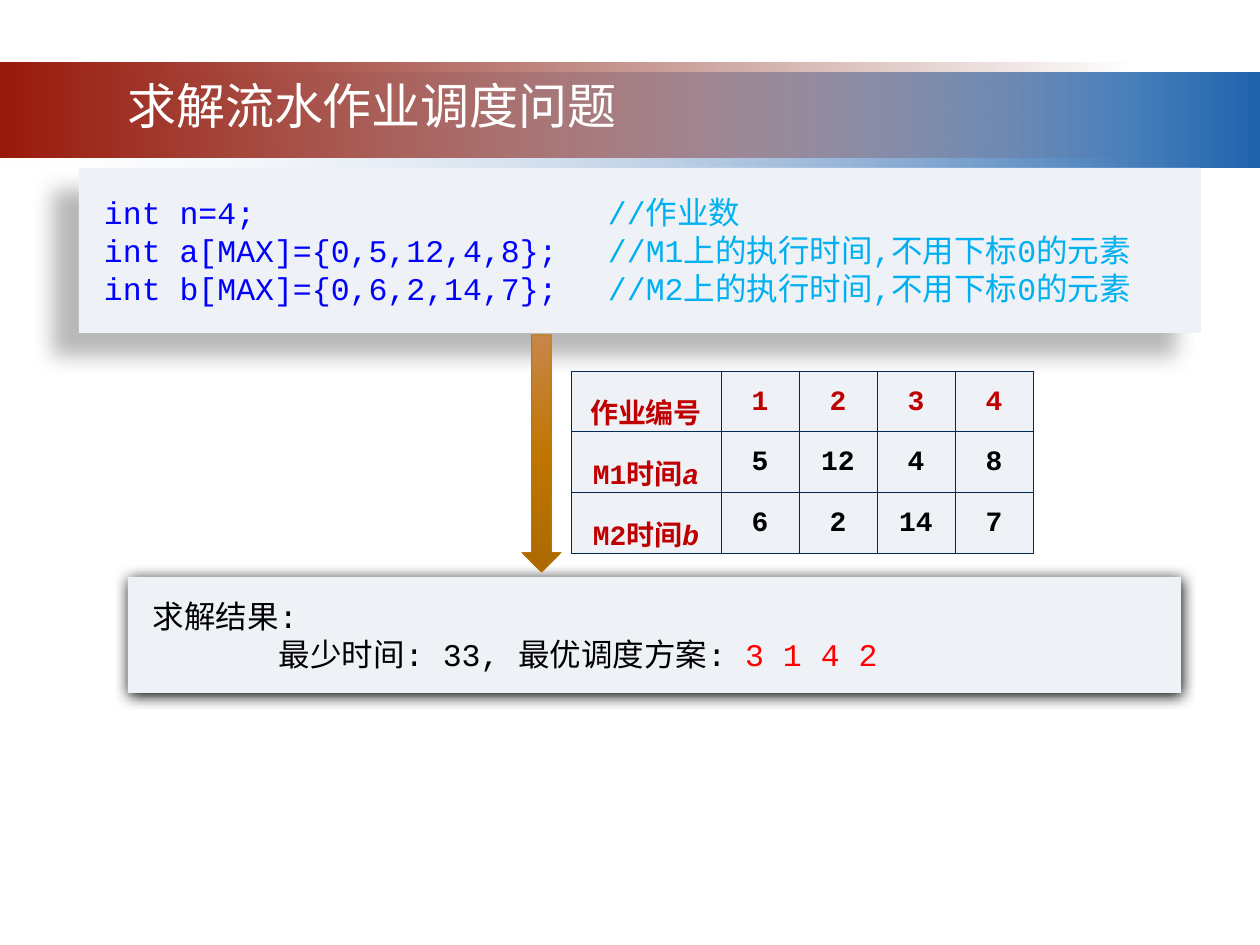
"""Build the slide on solving the flow shop scheduling problem."""
from lxml.etree import SubElement
from pptx import Presentation
from pptx.dml.color import RGBColor
from pptx.enum.lang import MSO_LANGUAGE_ID
from pptx.enum.shapes import MSO_SHAPE
from pptx.enum.text import MSO_ANCHOR, MSO_AUTO_SIZE, PP_ALIGN
from pptx.oxml import parse_xml
from pptx.oxml.ns import qn
from pptx.util import Emu, Pt

TITLE = "求解流水作业调度问题"
CODE = [
    [("int n=4;\t", "code"), ("//作业数", "note")],
    [("int a[MAX]={0,5,12,4,8};\t", "code"),
     ("//M1上的执行时间,不用下标0的元素", "note")],
    [("int b[MAX]={0,6,2,14,7};\t", "code"),
     ("//M2上的执行时间,不用下标0的元素", "note")],
]
RESULT = [
    [("求解结果:", "ink")],
    [("\t最少时间: 33, 最优调度方案: ", "ink"), ("3 1 4 2", "best")],
]
JOBS = [
    ("作业编号", "", [1, 2, 3, 4]),
    ("M1时间", "a", [5, 12, 4, 8]),
    ("M2时间", "b", [6, 2, 14, 7]),
]
BANDS = [
    ((0, 73, 1260, 95), [(0, "F1F2F7", 0), (100, "1F63AD", 100)]),
    ((0, 63, 1134, 95), [(0, "99190B", 100), (100, "6D1208", 0)]),
]
PANELS = [
    ((128, 577, 1053, 116), (25, 20, 25, 20), 126, RESULT, (100, 8.5, 1, 90)),
    ((79, 168, 1122, 165), (25, 25, 13, 25), 504, CODE, (28, 11.8, 19.7, 141)),
]
ARROW = (522, 335, 39, 237)
SHADES = [(0, "C8864B", 100), (50, "C07600", 100), (100, "AB6900", 100)]
GRID = (571, 371)
COLS = [150, 78, 78, 78, 78]
ROW = 56
THEME = {
    "panel": "EEF1F6", "code": "0000FF", "note": "00B0F0", "ink": "000000",
    "best": "FF0000", "head": "C00000", "rule": "002A56", "edge": "BE7602",
    "white": "FFFFFF", "mono": "Courier New", "sans": "Noto Sans CJK SC",
    "title": 28, "body": 18, "cell": 16,
}
NS = 'xmlns:a="http://schemas.openxmlformats.org/drawingml/2006/main"'


def px(num):
    return Emu(round(num * 914400 / 126))


def color(key):
    return RGBColor.from_string(THEME[key])


def frame(text, pads, anchor=MSO_ANCHOR.TOP):
    text.word_wrap = True
    text.auto_size = MSO_AUTO_SIZE.NONE
    text.vertical_anchor = anchor
    (text.margin_left, text.margin_top,
     text.margin_right, text.margin_bottom) = map(px, pads)


def write(par, runs, size, face="mono", align=PP_ALIGN.LEFT, tab=None):
    par.alignment = align
    if tab:
        stops = SubElement(par._p.get_or_add_pPr(), qn("a:tabLst"))
        SubElement(stops, qn("a:tab"), pos=str(px(tab)), algn="l")
    par.font.name = THEME[face]
    par.font.size = Pt(THEME[size])
    par.font.language_id = MSO_LANGUAGE_ID.SIMPLIFIED_CHINESE
    for words, key in runs:
        run = par.add_run()
        run.text = words
        run.font.color.rgb = color(key)


def shape(slide, kind, box):
    item = slide.shapes.add_shape(kind, *map(px, box))
    item.shadow.inherit = False
    item.line.fill.background()
    return item


def blend(item, stops, angle):
    marks = "".join(
        f'<a:gs pos="{pos * 1000}"><a:srgbClr val="{tint}">'
        f'<a:alpha val="{alpha * 1000}"/></a:srgbClr></a:gs>'
        for pos, tint, alpha in stops)
    fill = parse_xml(f'<a:gradFill {NS} rotWithShape="1"><a:gsLst>{marks}</a:gsLst>'
                     f'<a:lin ang="{angle * 60000}" scaled="0"/></a:gradFill>')
    item.element.spPr.find(qn("a:prstGeom")).addnext(fill)


def shade(item, alpha, blur, dist, angle):
    glow = parse_xml(
        f'<a:outerShdw {NS} blurRad="{Pt(blur)}" dist="{Pt(dist)}" '
        f'dir="{angle * 60000}" algn="ctr" rotWithShape="0">'
        f'<a:srgbClr val="{THEME["ink"]}"><a:alpha val="{alpha * 1000}"/>'
        '</a:srgbClr></a:outerShdw>')
    item.element.spPr.find(qn("a:effectLst")).append(glow)


def panel(slide, box, pads, tab, lines, shadow):
    item = shape(slide, MSO_SHAPE.RECTANGLE, box)
    item.fill.solid()
    item.fill.fore_color.rgb = color("panel")
    shade(item, *shadow)
    text = item.text_frame
    frame(text, pads)
    for num, runs in enumerate(lines):
        par = text.add_paragraph() if num else text.paragraphs[0]
        write(par, runs, "body", tab=tab)


def cell(box, runs):
    box.margin_left = box.margin_right = px(10)
    box.margin_top = box.margin_bottom = 0
    par = box.text_frame.paragraphs[0]
    par.line_spacing = 1.5
    write(par, runs, "cell", align=PP_ALIGN.CENTER)
    par.font.bold = True
    props = box._tc.get_or_add_tcPr()
    for side in ("lnL", "lnR", "lnT", "lnB"):
        props.append(parse_xml(
            f'<a:{side} {NS} w="{Pt(0.5)}"><a:solidFill>'
            f'<a:srgbClr val="{THEME["rule"]}"/></a:solidFill></a:{side}>'))
    box.fill.solid()
    box.fill.fore_color.rgb = color("panel")


def table(slide):
    size = (sum(COLS), ROW * len(JOBS))
    grid = slide.shapes.add_table(
        len(JOBS), len(COLS), *map(px, GRID + size)).table
    grid.first_row = grid.horz_banding = False
    for col, wide in zip(grid.columns, COLS):
        col.width = px(wide)
    for row, (label, sign, nums) in enumerate(JOBS):
        grid.rows[row].height = px(ROW)
        runs = [(label, "head")] + ([(sign, "head")] if sign else [])
        cell(grid.cell(row, 0), runs)
        if sign:
            grid.cell(row, 0).text_frame.paragraphs[0].runs[1].font.italic = True
        for col, num in enumerate(nums, 1):
            cell(grid.cell(row, col), [(str(num), "ink" if row else "head")])


def main():
    deck = Presentation()
    deck.slide_width, deck.slide_height = px(1260), px(945)
    slide = deck.slides.add_slide(deck.slide_layouts[5])
    for box, stops in BANDS:
        blend(shape(slide, MSO_SHAPE.RECTANGLE, box), stops, 0)
    for spec_row in PANELS:
        panel(slide, *spec_row)
    arrow = shape(slide, MSO_SHAPE.DOWN_ARROW, ARROW)
    blend(arrow, SHADES, 90)
    arrow.line.color.rgb = color("edge")
    arrow.line.width = Pt(0.5)
    table(slide)
    title = slide.shapes.title
    title.left, title.top, title.width, title.height = map(px, (47, 63, 650, 84))
    frame(title.text_frame, (13, 5, 13, 5), MSO_ANCHOR.MIDDLE)
    write(title.text_frame.paragraphs[0], [(TITLE, "white")], "title", "sans",
          PP_ALIGN.CENTER)
    title.element.getparent().append(title.element)
    deck.save("out.pptx")


if __name__ == "__main__":
    main()
